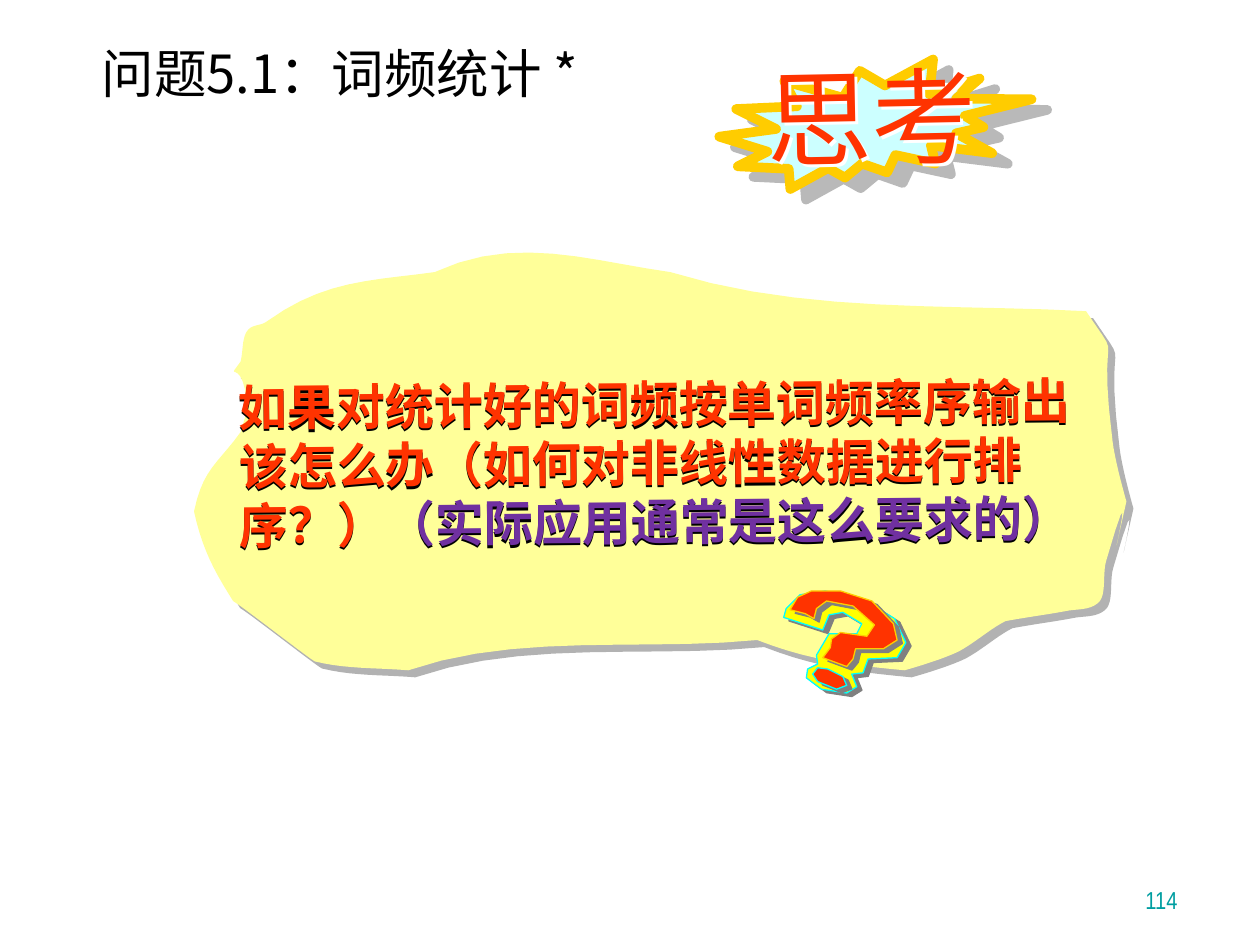
from lxml import etree
from pptx import Presentation
from pptx.dml.color import RGBColor
from pptx.enum.shapes import MSO_SHAPE
from pptx.enum.text import MSO_ANCHOR, PP_ALIGN
from pptx.oxml.ns import qn
from pptx.util import Pt

SEAL = MSO_SHAPE.EXPLOSION2
TOP, MIDDLE, BOTTOM = MSO_ANCHOR.TOP, MSO_ANCHOR.MIDDLE, MSO_ANCHOR.BOTTOM
LEFT, RIGHT = PP_ALIGN.LEFT, PP_ALIGN.RIGHT

BLACK = RGBColor(0x00, 0x00, 0x00)
WHITE = RGBColor(0xFF, 0xFF, 0xFF)
TEAL = RGBColor(0x00, 0x9E, 0xA1)
RED = RGBColor(0xFF, 0x33, 0x00)
PURPLE = RGBColor(0x70, 0x30, 0xA0)
GOLD = RGBColor(0xFF, 0xCC, 0x00)
YELLOW = RGBColor(0xFF, 0xFF, 0x00)
PALE_YELLOW = RGBColor(0xFF, 0xFF, 0x99)
CYAN = RGBColor(0x00, 0xFF, 0xFF)
PALE_CYAN = RGBColor(0xCC, 0xFF, 0xFF)
SEAL_GREY = RGBColor(0xB9, 0xB9, 0xB9)
PAPER_GREY = RGBColor(0xB2, 0xB2, 0xB2)
MARK_GREY = RGBColor(0x80, 0x80, 0x80)

HAN_FONT = "Noto Sans CJK SC"
HEAVY_FONT = "Noto Sans CJK JP"
NARROW_FONT = "Arial Narrow"

UNIT = 0.72  # outline coordinates are hundredths of an inch, in points
CURVE_STEPS = 10

PAPER_START = (191, 287)
# Each curve: two control points, then the end point.
PAPER_CURVES = [
    ((193, 279), (192, 269), (196, 263)),
    ((200, 257), (207, 259), (212, 255)),
    ((258, 222), (294, 223), (345, 216)),
    ((409, 186), (468, 207), (532, 216)),
    ((639, 249), (753, 241), (862, 247)),
    ((894, 295), (870, 249), (883, 350)),
    ((885, 367), (894, 398), (894, 398)),
    ((871, 500), (909, 338), (878, 445)),
    ((875, 455), (878, 470), (873, 477)),
    ((866, 485), (855, 483), (846, 485)),
    ((830, 488), (814, 490), (798, 493)),
    ((786, 499), (774, 510), (761, 517)),
    ((747, 524), (718, 532), (718, 532)),
    ((675, 528), (642, 524), (601, 508)),
    ((511, 517), (411, 502), (324, 532)),
    ((299, 530), (274, 531), (250, 525)),
    ((247, 524), (192, 481), (185, 477)),
    ((170, 453), (161, 437), (154, 406)),
    ((161, 372), (173, 368), (191, 343)),
    ((193, 335), (197, 327), (196, 319)),
    ((192, 281), (178, 305), (191, 287)),
]
MARK_EDGE = [
    (658, 488), (669, 486), (684, 495), (680, 503), (658, 503), (648, 520),
    (649, 527), (641, 531), (640, 538), (652, 547), (672, 550), (680, 545),
    (676, 535), (685, 534), (689, 523), (712, 522), (719, 510), (710, 491),
    (686, 476), (655, 469), (635, 472), (624, 483), (622, 490), (653, 500),
]
MARK_HOOK = [
    (627, 484), (639, 487), (646, 491), (648, 483), (656, 477), (677, 481),
    (685, 488), (694, 496), (688, 505), (667, 502), (660, 507), (659, 514),
    (653, 522), (672, 529), (677, 523), (679, 515), (692, 515), (701, 515),
    (712, 508), (709, 495), (692, 477), (667, 469), (644, 469), (633, 474),
]
MARK_DOT = [(657, 531), (649, 530), (645, 535), (649, 541),
            (664, 547), (672, 544), (669, 537)]


def set_shadow(shape, color, distance, angle):
    shape.shadow.inherit = False
    effects = shape._element.spPr.find(qn("a:effectLst"))
    shadow = etree.SubElement(effects, qn("a:outerShdw"), dist=str(Pt(distance)),
                              dir=str(angle * 60000), algn="ctr", rotWithShape="0")
    etree.SubElement(shadow, qn("a:srgbClr"), val=str(color))


def paint(shape, fill, line=None, width=0.75):
    shape.fill.solid()
    shape.fill.fore_color.rgb = fill
    if line is None:
        shape.line.fill.background()
    else:
        shape.line.color.rgb = line
        shape.line.width = Pt(width)


def add_text(page, frame, pieces, size, font, anchor=TOP, align=LEFT, bold=False,
             east_font=HAN_FONT):
    """Add a one-paragraph box; pieces are (text, colour) pairs."""
    box = page.shapes.add_textbox(*map(Pt, frame))
    text_frame = box.text_frame
    text_frame.word_wrap = True
    text_frame.vertical_anchor = anchor
    para = text_frame.paragraphs[0]
    para.alignment = align
    for text, color in pieces:
        span = para.add_run()
        span.text = text
        span.font.size = Pt(size)
        span.font.bold = bold
        span.font.color.rgb = color
        span.font.name = font
        etree.SubElement(span._r.get_or_add_rPr(), qn("a:ea"), typeface=east_font)
    return box


def add_outline(page, points):
    scaled = [(Pt(x * UNIT), Pt(y * UNIT)) for x, y in points]
    builder = page.shapes.build_freeform(*scaled[0])
    builder.add_line_segments(scaled[1:], close=True)
    return builder.convert_to_shape()


def trace_curves(start, curves):
    """Return points along a chain of cubic curves."""
    points = [start]
    for first, second, end in curves:
        origin = points[-1]
        for step in range(1, CURVE_STEPS + 1):
            t = step / CURVE_STEPS
            u = 1 - t
            points.append(tuple(
                u**3 * a + 3 * u * u * t * b + 3 * u * t * t * c + t**3 * d
                for a, b, c, d in zip(origin, first, second, end)))
    return points


def add_seal(page):
    seal = page.shapes.add_shape(SEAL, Pt(411), Pt(34), Pt(178.5), Pt(74))
    paint(seal, PALE_CYAN, GOLD, 5.5)
    set_shadow(seal, SEAL_GREY, 10.8, 34)
    word = add_text(page, (431, 26, 204.5, 79), [("思考", RED)], 60, HEAVY_FONT,
                    east_font=HEAVY_FONT)
    word.rotation = 358.9
    set_shadow(word, WHITE, 2.5, 45)


def add_question(page):
    paper = add_outline(page, trace_curves(PAPER_START, PAPER_CURVES))
    paint(paper, PALE_YELLOW)
    set_shadow(paper, PAPER_GREY, 5.7, 45)
    question = add_text(page, (129.5, 210, 503.5, 109), [
        ("如果对统计好的词频按单词频率序输出该怎么办（如何对非线性数据进行排序？）", RED),
        ("（实际应用通常是这么要求的）", PURPLE),
    ], 28, NARROW_FONT, bold=True)
    question.rotation = 359.5
    set_shadow(question, BLACK, 1.2, 90)


def add_question_mark(page):
    for points, fill, line in ((MARK_EDGE, YELLOW, CYAN),
                               (MARK_HOOK, RED, GOLD),
                               (MARK_DOT, RED, CYAN)):
        part = add_outline(page, points)
        paint(part, fill, line)
        set_shadow(part, MARK_GREY, 3.6, 34)


def main():
    deck = Presentation()
    deck.slide_width, deck.slide_height = Pt(720), Pt(540)
    page = deck.slides.add_slide(deck.slide_layouts[6])
    title = add_text(page, (51, 12, 645, 66), [("问题5.1：词频统计 *", BLACK)],
                     30, HAN_FONT, MIDDLE)
    title.text_frame.paragraphs[0].line_spacing = 0.8
    add_text(page, (530, 490, 150, 36), [("114", TEAL)], 14, NARROW_FONT,
             BOTTOM, RIGHT)
    add_seal(page)
    add_question(page)
    add_question_mark(page)
    deck.save("out.pptx")


if __name__ == "__main__":
    main()
